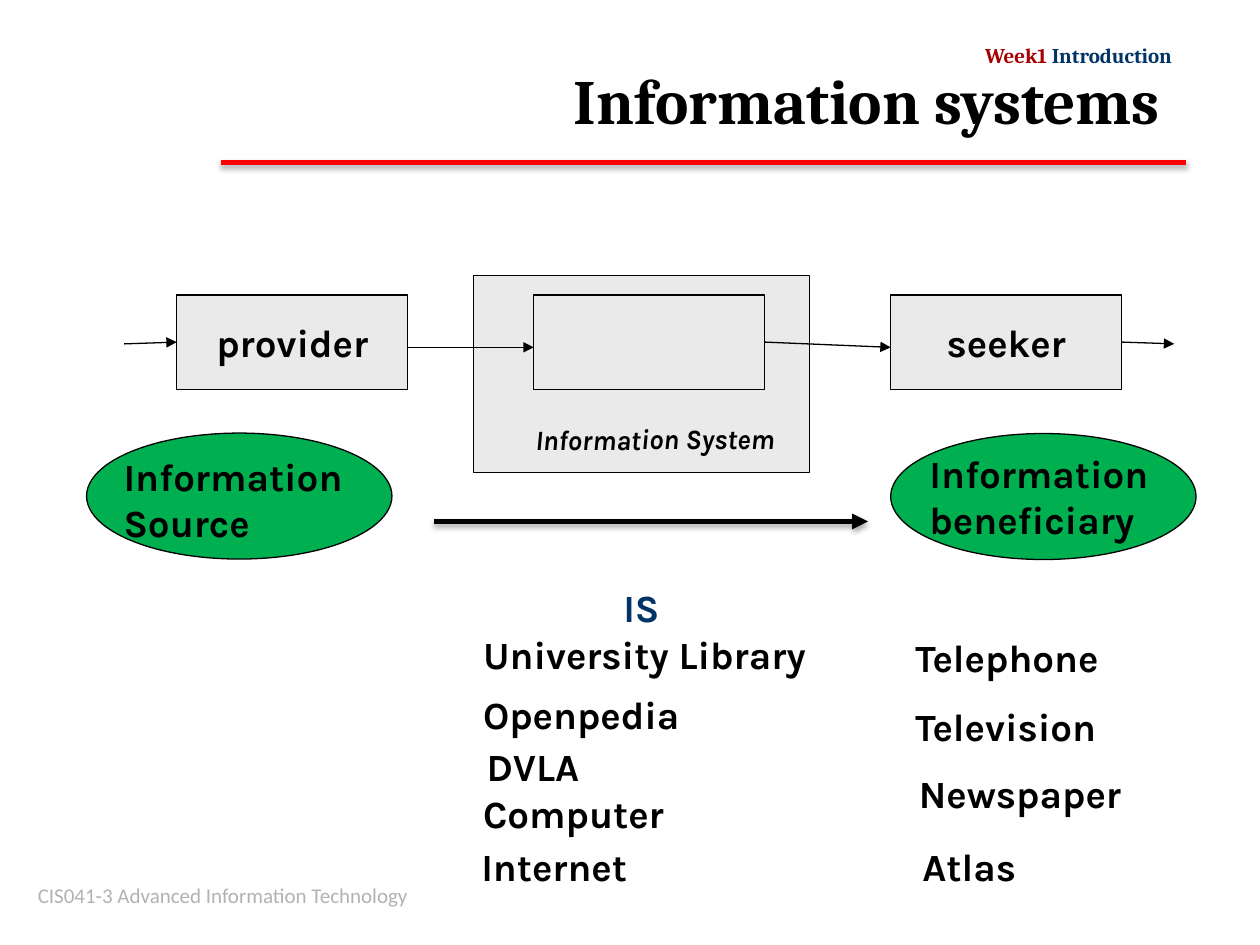
from lxml import etree
from pptx import Presentation
from pptx.dml.color import RGBColor
from pptx.enum.shapes import MSO_CONNECTOR, MSO_SHAPE
from pptx.enum.text import MSO_ANCHOR, PP_ALIGN
from pptx.oxml import parse_xml
from pptx.oxml.ns import nsdecls, qn
from pptx.util import Pt

RECT, OVAL = MSO_SHAPE.RECTANGLE, MSO_SHAPE.OVAL
STRAIGHT = MSO_CONNECTOR.STRAIGHT
LEFT, CENTER, RIGHT = PP_ALIGN.LEFT, PP_ALIGN.CENTER, PP_ALIGN.RIGHT
TOP, MIDDLE = MSO_ANCHOR.TOP, MSO_ANCHOR.MIDDLE

BLACK = RGBColor(0x00, 0x00, 0x00)
RED = RGBColor(0xFF, 0x00, 0x00)
DARK_RED = RGBColor(0xA8, 0x00, 0x00)
NAVY = RGBColor(0x00, 0x33, 0x66)
GREEN = RGBColor(0x00, 0xB0, 0x50)
PALE = RGBColor(0xEA, 0xEA, 0xEA)
GRAY = RGBColor(0xB2, 0xB2, 0xB2)

SHADOW = (
    f'<a:effectLst {nsdecls("a")}><a:outerShdw blurRad="39370" dist="22860" '
    'dir="5400000" rotWithShape="0"><a:srgbClr val="000000">'
    '<a:alpha val="35000"/></a:srgbClr></a:outerShdw></a:effectLst>'
)

prs = Presentation()
prs.slide_width, prs.slide_height = Pt(720), Pt(540)
s = prs.slides.add_slide(prs.slide_layouts[5])


def add_text(box, runs, size=22, font="Karla", bold=True, align=LEFT, anchor=TOP, wrap=True):
    """Put a box (x, y, w, h) on the slide holding runs of (text, colour)."""
    sp = s.shapes.add_textbox(*map(Pt, box))
    tf = sp.text_frame
    tf.word_wrap, tf.vertical_anchor = wrap, anchor
    p = tf.paragraphs[0]
    p.alignment = align
    for text, color in runs:
        r = p.add_run()
        r.text = text
        r.font.name, r.font.size, r.font.bold = font, Pt(size), bold
        r.font.color.rgb = color
    return sp


def add_line(x1, y1, x2, y2, color=BLACK, width=0.75, arrow=True, shadow=False):
    cx = s.shapes.add_connector(STRAIGHT, Pt(x1), Pt(y1), Pt(x2), Pt(y2))
    cx.line.color.rgb, cx.line.width = color, Pt(width)
    if arrow:
        etree.SubElement(cx.line._get_or_add_ln(), qn("a:tailEnd"), type="triangle")
    effects = SHADOW if shadow else f'<a:effectLst {nsdecls("a")}/>'
    cx._element.spPr.append(parse_xml(effects))
    return cx


# Heading and footer
add_text((542, 21, 137.5, 21.5), [("Week1", DARK_RED), (" Introduction ", NAVY)],
         size=12, font="Cambria", align=RIGHT, wrap=False)
add_line(126, 93, 678, 93, color=RED, width=3, arrow=False, shadow=True)

title = s.shapes.title
title.left, title.top, title.width, title.height = Pt(126), Pt(29.5), Pt(552), Pt(54)
tf = title.text_frame
tf.text = "Information systems "
tf.vertical_anchor = MIDDLE
p = tf.paragraphs[0]
p.alignment = RIGHT
p.font.name, p.font.size, p.font.bold = "Cambria", Pt(36), True
p.font.color.rgb = BLACK

add_text((14.5, 497, 345.5, 28.5), [("CIS041-3 Advanced Information Technology", GRAY)],
         size=12, font="Calibri", bold=False, anchor=MIDDLE)

# Flow diagram
shapes = {}
for name, kind, x, y, w, h, fill, label in [
    ("beneficiary", OVAL, 509, 247.75, 174.5, 72, GREEN, ""),
    ("source", OVAL, 49.5, 247.5, 174.5, 72, GREEN, ""),
    ("system", RECT, 270.5, 157.5, 192, 112.5, PALE, ""),
    ("provider", RECT, 101, 168.5, 132, 54, PALE, "provider"),
    ("channel", RECT, 305, 168.5, 132, 54, PALE, ""),
    ("seeker", RECT, 509, 168.5, 132, 54, PALE, "seeker"),
]:
    sp = s.shapes.add_shape(kind, Pt(x), Pt(y), Pt(w), Pt(h))
    sp.shadow.inherit = False
    sp.fill.solid()
    sp.fill.fore_color.rgb = fill
    sp.line.color.rgb, sp.line.width = BLACK, Pt(0.75)
    if label:
        tf = sp.text_frame
        tf.text = label
        tf.word_wrap, tf.vertical_anchor = False, MIDDLE
        p = tf.paragraphs[0]
        p.alignment = CENTER
        r = p.runs[0]
        r.font.name, r.font.size, r.font.bold = "Karla", Pt(22), True
        r.font.color.rgb = BLACK
    shapes[name] = sp

caption = add_text((285, 237.5, 182, 26.5), [("Information System ", BLACK)],
                   size=16, align=CENTER, anchor=MIDDLE, wrap=False)
caption.rotation = -0.1
caption.text_frame.paragraphs[0].runs[0].font.italic = True

add_line(71, 196.5, 101, 196.5).end_connect(shapes["provider"], 1)
add_line(641, 196.5, 671, 196.5).begin_connect(shapes["seeker"], 3)
add_line(437, 196.5, 509, 198.5).begin_connect(shapes["channel"], 3)
add_line(233, 198.5, 305, 198.5)
add_line(248, 298, 496, 298, width=3, shadow=True)

# Labels and examples
add_text((320.5, 330, 92, 34), [("IS", NAVY)], align=CENTER, anchor=MIDDLE)
for text, x, y, w, h in [
    ("Information Source", 63.5, 255.5, 184, 60.5),
    ("Information beneficiary", 524, 253.5, 184, 60.5),
    ("University Library", 269, 357, 235, 34),
    ("Openpedia", 269, 391.5, 235, 34),
    ("DVLA", 271, 421, 235, 34),
    ("Computer", 269, 448, 235, 34),
    ("Internet", 268, 478, 235, 34),
    ("Telephone", 516, 359, 140, 34),
    ("Television", 516, 398, 140, 34),
    ("Newspaper", 518, 436.5, 140, 34),
    ("Atlas", 520, 478, 140, 34),
]:
    add_text((x, y, w, h), [(text, BLACK)])

prs.save("out.pptx")
